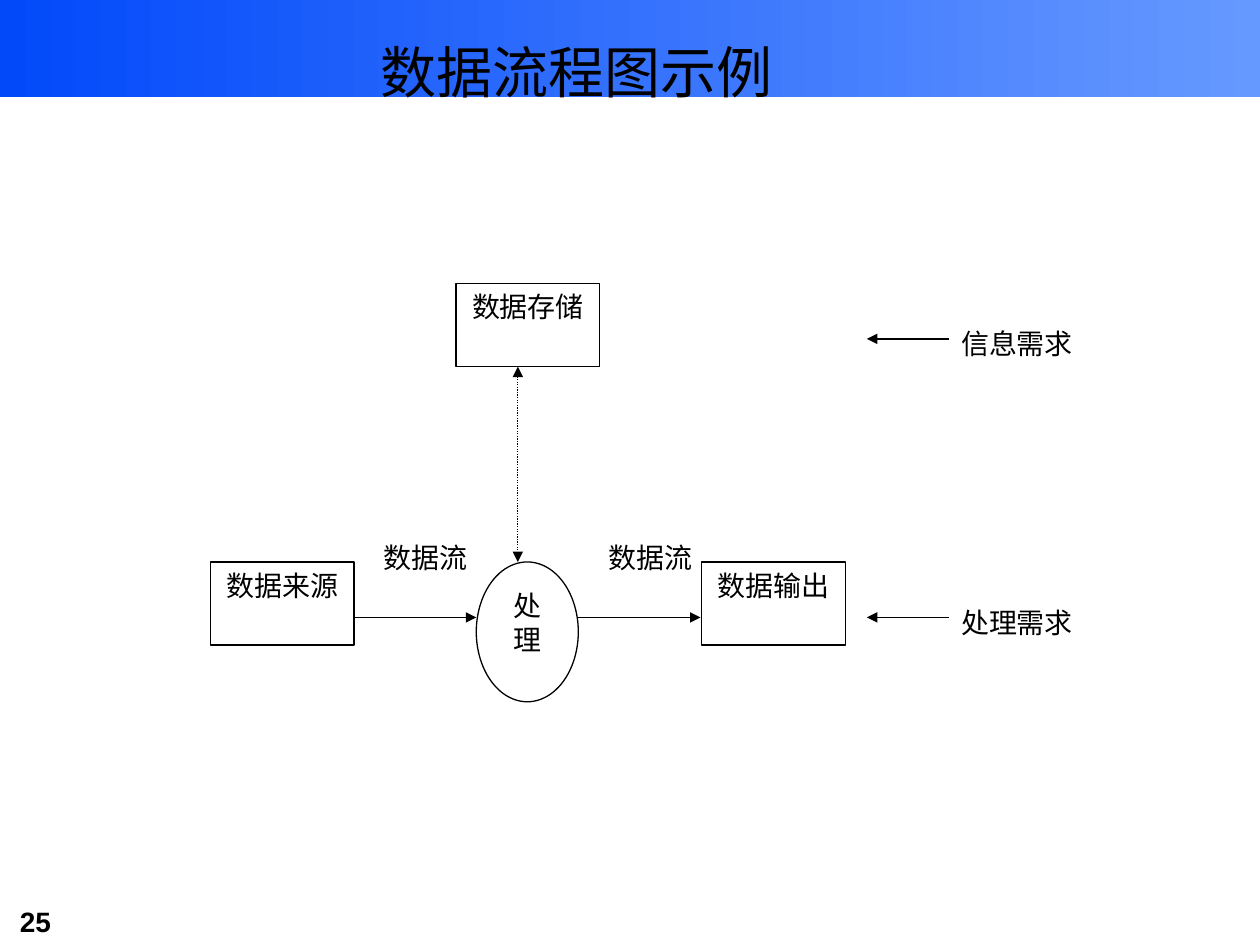
from lxml import etree
from pptx import Presentation
from pptx.dml.color import RGBColor
from pptx.enum.dml import MSO_LINE
from pptx.enum.shapes import MSO_CONNECTOR, MSO_SHAPE
from pptx.enum.text import MSO_ANCHOR as Anchor, MSO_AUTO_SIZE, PP_ALIGN as Align
from pptx.oxml.ns import qn
from pptx.util import Inches, Pt

BLACK = RGBColor(0x00, 0x00, 0x00)
DEEP_BLUE = RGBColor(0x02, 0x49, 0xFA)
LIGHT_BLUE = RGBColor(0x66, 0x99, 0xFF)
SERIF, SANS = "Times New Roman", "Arial"
NODE_WIDTH, NODE_HEIGHT = 1.14, 0.66
CIRCLE_WIDTH, CIRCLE_HEIGHT = 0.81, 1.11
ARROW_LENGTH = 0.97


def write(shape, text, align=Align.CENTER, anchor=Anchor.TOP, **font):
    """Put one formatted paragraph into a shape."""
    frame = shape.text_frame
    frame.text = text
    layout = {"word_wrap": True, "auto_size": MSO_AUTO_SIZE.NONE, "vertical_anchor": anchor}
    for name, value in layout.items():
        setattr(frame, name, value)
    para = frame.paragraphs[0]
    para.alignment = align
    span = para.runs[0]
    for name, value in {"name": SERIF, "size": Pt(16), "bold": False, **font}.items():
        setattr(span.font, name, value)
    span.font.color.rgb = BLACK


def add_label(page, box, text, **style):
    """Add a plain text box."""
    write(page.shapes.add_textbox(*map(Inches, box)), text, **style)


def add_node(page, box, text, kind=MSO_SHAPE.RECTANGLE):
    """Add an outlined, unfilled diagram node."""
    node = page.shapes.add_shape(kind, *map(Inches, box))
    node.shadow.inherit = False
    node.fill.background()
    node.line.color.rgb = BLACK
    node.line.width = Pt(0.75)
    write(node, text)


def add_arrow(page, start, end, both_ways=False):
    """Add a straight arrow, dotted and double-headed when both_ways is set."""
    arrow = page.shapes.add_connector(MSO_CONNECTOR.STRAIGHT, *map(Inches, (*start, *end)))
    arrow.line.color.rgb = BLACK
    arrow.line.width = Pt(0.75)
    if both_ways:
        arrow.line.dash_style = MSO_LINE.ROUND_DOT
    line = arrow.line._get_or_add_ln()
    for end_name in ("a:headEnd", "a:tailEnd") if both_ways else ("a:tailEnd",):
        etree.SubElement(line, qn(end_name), type="triangle")
    etree.SubElement(arrow.element.spPr, qn("a:effectLst"))


def add_header(page, box):
    """Place the gradient band and the title over it."""
    left, top, width, height = box
    band = page.shapes.add_shape(MSO_SHAPE.RECTANGLE, *map(Inches, box))
    band.shadow.inherit = False
    band.line.fill.background()
    band.fill.gradient()
    band.fill.gradient_angle = 0
    for stop, color in zip(band.fill.gradient_stops, (DEEP_BLUE, LIGHT_BLUE)):
        stop.color.rgb = color
    title = page.shapes.title
    title.element.addprevious(band.element)
    place = {"left": left + 0.33, "top": top + 0.25, "width": width - 1.5, "height": 0.63}
    for name, value in place.items():
        setattr(title, name, Inches(value))
    write(title, "数据流程图示例", anchor=Anchor.MIDDLE, size=Pt(32))


def add_flow(page, box):
    """Draw source, process, output and storage with their data flows."""
    left, top, width, height = box
    row = top + height - CIRCLE_HEIGHT
    flow_y = row + 0.44
    circle_left = left + NODE_WIDTH + ARROW_LENGTH
    output_left = left + width - NODE_WIDTH
    storage_left = left + (width - NODE_WIDTH) / 2
    size = NODE_WIDTH, NODE_HEIGHT
    for x, y, text in ((storage_left, top, "数据存储"), (left, row, "数据来源"),
                       (output_left, row, "数据输出")):
        add_node(page, (x, y, *size), text)
    add_node(page, (circle_left, row, CIRCLE_WIDTH, CIRCLE_HEIGHT), "处理", MSO_SHAPE.OVAL)
    for x in (left + NODE_WIDTH, circle_left + CIRCLE_WIDTH):
        add_label(page, (x, row - 0.22, *size), "数据流")
        add_arrow(page, (x, flow_y), (x + ARROW_LENGTH, flow_y))
    store_x = left + 2.44
    add_arrow(page, (store_x, top + NODE_HEIGHT), (store_x, row), both_ways=True)


def add_demand(page, box, text):
    """Place a demand label with the arrow that leads left from it."""
    left, top, width, height = box
    label_left = left + width - NODE_WIDTH
    add_arrow(page, (label_left, top + 0.44), (left, top + 0.44))
    add_label(page, (label_left, top, NODE_WIDTH, height), text,
              align=Align.JUSTIFY, anchor=Anchor.BOTTOM)


def main():
    """Build and save the deck."""
    deck = Presentation()
    deck.slide_width, deck.slide_height = Inches(10), Inches(7.5)
    page = deck.slides.add_slide(deck.slide_layouts[5])
    add_header(page, (0, 0, 10, 0.77))
    add_flow(page, (1.67, 2.25, 5.04, 3.32))
    for top, text in ((2.25, "信息需求"), (4.46, "处理需求")):
        add_demand(page, (6.88, top, 1.79, NODE_HEIGHT), text)
    add_label(page, (0.06, 7.13, 1.22, 0.37), "25", align=Align.LEFT, name=SANS, bold=True)
    deck.save("out.pptx")


if __name__ == "__main__":
    main()
